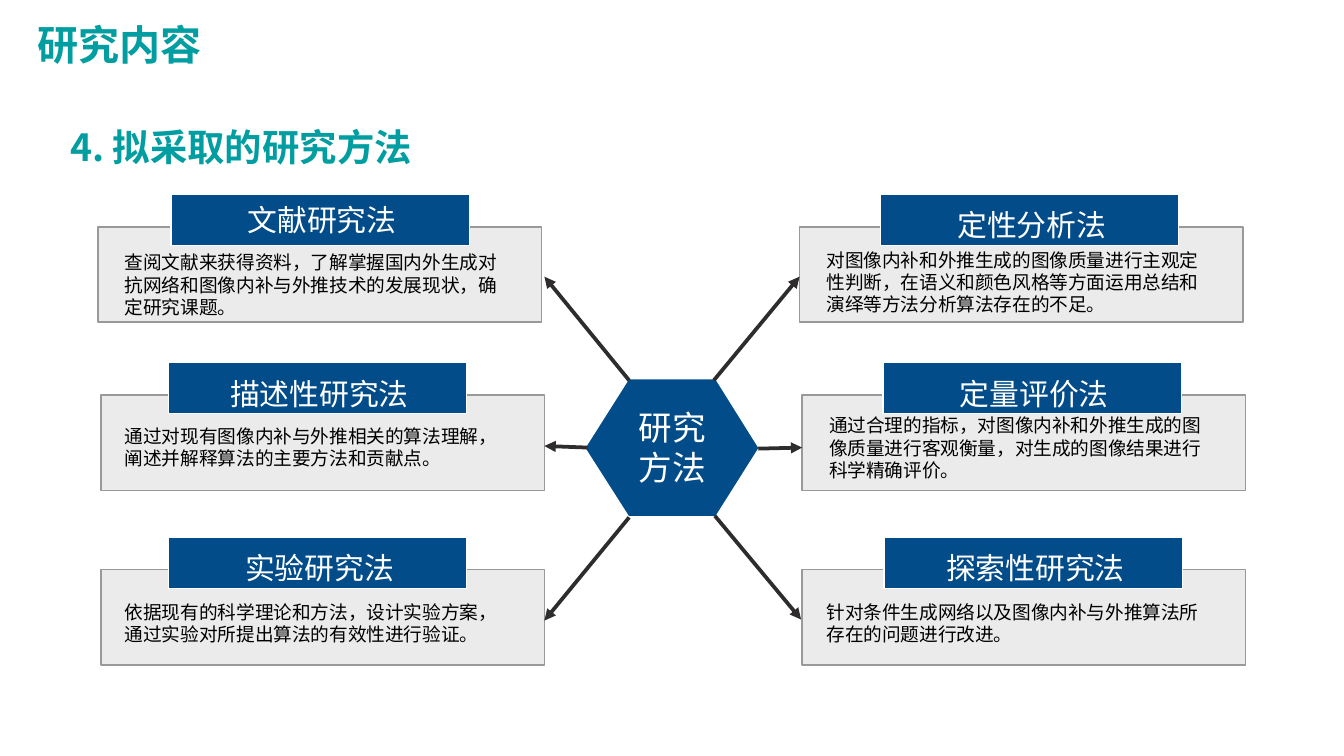
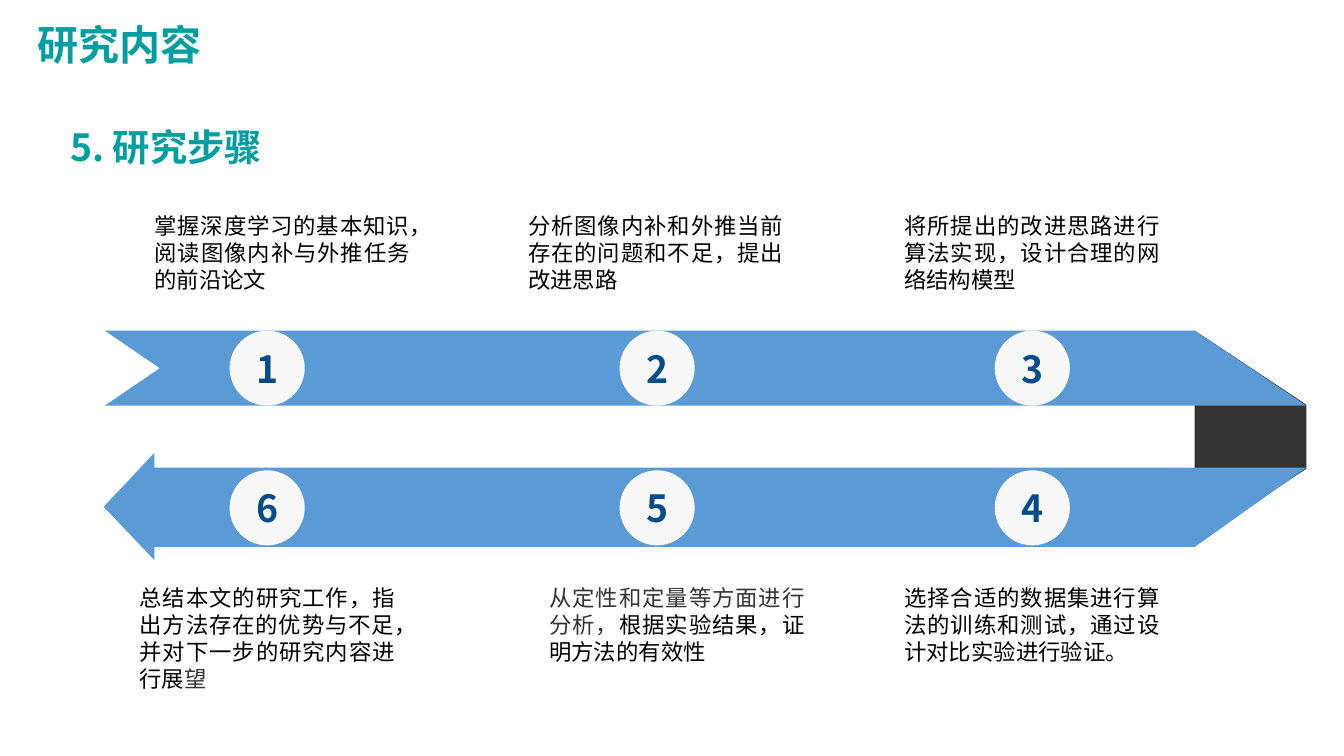
from dataclasses import dataclass

import pptx
import pptx.dml.color
import pptx.enum.shapes
import pptx.enum.text
import pptx.oxml.ns
import pptx.oxml.xmlchemy
import pptx.util
from lxml import etree

Cm = pptx.util.Cm
Pt = pptx.util.Pt
qn = pptx.oxml.ns.qn
RGB = pptx.dml.color.RGBColor.from_string
SHAPE = pptx.enum.shapes.MSO_SHAPE
ALIGN = pptx.enum.text.PP_ALIGN
ANCHOR = pptx.enum.text.MSO_ANCHOR
AUTO = pptx.enum.text.MSO_AUTO_SIZE


@dataclass(frozen=True)
class Theme:
    teal: str = "009EA1"
    navy: str = "024C89"
    blue: str = "5B9BD5"
    white: str = "FFFFFF"
    black: str = "000000"
    dark: str = "333333"
    arrow: str = "2E2C2C"
    panel: str = "EBEBEB"
    panel_line: str = "999999"
    disc: str = "F8F8F8"
    cjk: str = "Noto Sans CJK SC"
    latin: str = "Calibri"
    alt: str = "Arial"
    title_pt: int = 22
    heading_pt: int = 20
    hub_pt: int = 18
    label_pt: int = 16
    step_pt: int = 12
    method_pt: int = 10


T = Theme()


@dataclass(frozen=True)
class Method:
    """One research method; positions in cm."""
    name: str
    text: str
    panel_x: float
    header_x: float
    text_x: float
    top: float
    text_y: float
    text_h: float = 1.52
    label_drop: float = 0.12
    name_font: str = T.latin
    text_font: str = T.latin


@dataclass(frozen=True)
class Arrow:
    x1: float
    y1: float
    x2: float
    y2: float


@dataclass(frozen=True)
class Step:
    """One research step; runs pair each text with whether it is muted."""
    number: int
    disc_x: float
    text_x: float
    runs: tuple
    text_h: float = 1.78


@dataclass(frozen=True)
class StepRow:
    disc_y: float
    text_y: float
    steps: tuple


METHODS = (
    Method("文献研究法", "查阅文献来获得资料，了解掌握国内外生成对抗网络和图像内补与外推技术的发展现状，确定研究课题。",
           1.85, 3.23, 2.11, 4.29, 4.62, label_drop=0.02),
    Method("描述性研究法", "通过对现有图像内补与外推相关的算法理解，阐述并解释算法的主要方法和贡献点。",
           1.91, 3.18, 2.11, 7.47, 7.9, text_h=1.12),
    Method("实验研究法", "依据现有的科学理论和方法，设计实验方案，通过实验对所提出算法的有效性进行验证。",
           1.91, 3.18, 2.11, 10.77, 11.23, text_h=1.12, name_font=T.alt, text_font=T.alt),
    Method("定性分析法", "对图像内补和外推生成的图像质量进行主观定性判断，在语义和颜色风格等方面运用总结和演绎等方法分析算法存在的不足。",
           15.11, 16.64, 15.37, 4.29, 4.57, name_font=T.alt),
    Method("定量评价法", "通过合理的指标，对图像内补和外推生成的图像质量进行客观衡量，对生成的图像结果进行科学精确评价。",
           15.16, 16.69, 15.42, 7.47, 7.7, name_font=T.alt),
    Method("探索性研究法", "针对条件生成网络以及图像内补与外推算法所存在的问题进行改进。",
           15.16, 16.71, 15.37, 10.77, 11.23, text_h=1.12),
)

ARROWS = (
    Arrow(13.49, 7.19, 15.11, 5.23),
    Arrow(14.33, 8.48, 15.16, 8.46),
    Arrow(13.51, 9.75, 15.14, 11.71),
    Arrow(11.89, 7.19, 10.29, 5.23),
    Arrow(11.1, 8.46, 10.29, 8.43),
    Arrow(11.89, 9.78, 10.29, 11.73),
)

HUB = ((13.53, 7.16), (14.35, 8.47), (13.53, 9.77), (11.88, 9.77), (11.05, 8.47), (11.88, 7.16))

FOLD = ((24.69, 7.65), (24.69, 8.86), (22.58, 10.26), (22.58, 6.25))
RETURN_BAND = ((2.92, 8.84), (24.69, 8.84), (22.58, 10.34), (2.92, 10.34),
               (2.92, 10.59), (1.96, 9.58), (2.92, 8.56))
FORWARD_BAND = ((1.98, 6.25), (22.58, 6.25), (24.69, 7.67), (1.98, 7.67), (3.02, 6.96))

STEP_ROWS = (
    StepRow(6.25, 3.89, (
        Step(1, 4.34, 2.67, (("掌握深度学习的基本知识，阅读图像内补与外推任务的前沿论文", False),)),
        Step(2, 11.71, 9.73, (("分析图像内补和外推当前存在的问题和不足，提出改进思路", False),)),
        Step(3, 18.8, 16.84, (("将所提出的改进思路进行算法实现，设计合理的网络结构模型", False),)),
    )),
    StepRow(8.89, 10.92, (
        Step(4, 18.8, 16.84, (("选择合适的数据集进行算法的训练和测试，通过设计对比实验进行验证。", False),)),
        Step(5, 11.71, 10.13, (("从定性和定量等方面进行分析，", True),
                               ("根据实验结果，证明方法的有效性", False))),
        Step(6, 4.34, 2.39, (("总结本文的研究工作，指出方法存在的优势与不足，并对下一步的研究内容进行展", False),
                             ("望", True)), text_h=2.29),
    )),
)


def write(sp, text: str, *, size: int, color: str, font: str = T.cjk,
          bold: bool = False, align=ALIGN.LEFT):
    """Append a formatted run to the first paragraph and return the paragraph."""
    p = sp.text_frame.paragraphs[0]
    p.alignment = align
    r = p.add_run()
    r.text = text
    r.font.size = Pt(size)
    r.font.bold = bold
    r.font.color.rgb = RGB(color)
    r.font.name = font
    etree.SubElement(r.font._element, qn("a:ea"), typeface=T.cjk)
    return p


def place(sp, x: float, y: float, w: float, h: float) -> None:
    sp.left, sp.top, sp.width, sp.height = Cm(x), Cm(y), Cm(w), Cm(h)


def fit_text(sp, wrap: bool = True) -> None:
    tf = sp.text_frame
    tf.word_wrap = wrap
    tf.auto_size = AUTO.SHAPE_TO_FIT_TEXT
    tf.vertical_anchor = ANCHOR.TOP


def add_text(slide, x: float, y: float, w: float, h: float):
    sp = slide.shapes.add_textbox(Cm(x), Cm(y), Cm(w), Cm(h))
    fit_text(sp)
    return sp


def paint(sp, fill: str, line: str | None = None) -> None:
    sp.shadow.inherit = False
    sp.fill.solid()
    sp.fill.fore_color.rgb = RGB(fill)
    if line is None:
        sp.line.fill.background()
    else:
        sp.line.color.rgb = RGB(line)
        sp.line.width = Pt(0)


def add_shape(slide, kind, x: float, y: float, w: float, h: float,
              fill: str, line: str | None = None):
    sp = slide.shapes.add_shape(kind, Cm(x), Cm(y), Cm(w), Cm(h))
    paint(sp, fill, line)
    return sp


def add_outline(slide, points: tuple, fill: str, line: str | None = None) -> None:
    start, *rest = [(Cm(x), Cm(y)) for x, y in points]
    builder = slide.shapes.build_freeform(*start, scale=1.0)
    builder.add_line_segments(rest, close=True)
    paint(builder.convert_to_shape(), fill, line)


def add_arrow(slide, arrow: Arrow) -> None:
    c = slide.shapes.add_connector(pptx.enum.shapes.MSO_CONNECTOR.STRAIGHT,
                                   Cm(arrow.x1), Cm(arrow.y1), Cm(arrow.x2), Cm(arrow.y2))
    c.line.color.rgb = RGB(T.arrow)
    c.line.width = Pt(0)
    sp_pr = c._element.spPr
    etree.SubElement(sp_pr.find(qn("a:ln")), qn("a:tailEnd"), type="triangle")
    etree.SubElement(sp_pr, qn("a:effectLst"))


def add_slide(prs, heading: str):
    """Add a slide with the shared title and its section heading."""
    slide = prs.slides.add_slide(prs.slide_layouts[1])
    title, body = slide.shapes.title, slide.placeholders[1]
    place(title, 0.46, 0.25, 3.61, 1.19)
    fit_text(title, wrap=False)
    write(title, "研究内容", size=T.title_pt, color=T.teal, bold=True)

    place(body, 1.07, 1.79, 23.5, 1.52)
    fit_text(body)
    p_pr = body.text_frame.paragraphs[0]._p.get_or_add_pPr()
    p_pr.set("marL", "0")
    p_pr.set("indent", "0")
    etree.SubElement(p_pr, qn("a:buNone"))
    p = write(body, heading, size=T.heading_pt, color=T.teal, bold=True, align=ALIGN.JUSTIFY)
    p.line_spacing = 1.5
    p.space_before = Pt(0)
    p.space_after = Pt(12)
    return slide


def add_method(slide, m: Method) -> None:
    header_y = m.top - 0.62
    add_shape(slide, SHAPE.RECTANGLE, m.panel_x, m.top, 8.38, 1.8, T.panel, T.panel_line)
    add_shape(slide, SHAPE.RECTANGLE, m.header_x, header_y, 5.64, 0.97, T.navy, T.white)
    label = add_text(slide, m.header_x + 0.41, header_y + m.label_drop, 4.9, 0.94)
    write(label, m.name, size=T.label_pt, color=T.white, font=m.name_font, align=ALIGN.CENTER)
    text = add_text(slide, m.text_x, m.text_y, 7.87, m.text_h)
    write(text, m.text, size=T.method_pt, color=T.black, font=m.text_font)


def add_step(slide, row: StepRow, step: Step) -> None:
    disc = add_shape(slide, SHAPE.OVAL, step.disc_x, row.disc_y, 1.42, 1.42, T.disc)
    disc.text_frame.vertical_anchor = ANCHOR.MIDDLE
    write(disc, str(step.number), size=T.heading_pt, color=T.navy, bold=True, align=ALIGN.CENTER)
    box = add_text(slide, step.text_x, row.text_y, 5.33, step.text_h)
    for text, muted in step.runs:
        write(box, text, size=T.step_pt, color=T.dark if muted else T.black,
              font=T.cjk if muted else T.latin, align=ALIGN.JUSTIFY)


def build_methods(prs) -> None:
    slide = add_slide(prs, "4. 拟采取的研究方法")
    add_outline(slide, HUB, T.navy, T.white)
    hub = add_text(slide, 11.68, 7.57, 2.06, 1.78)
    write(hub, "研究方法", size=T.hub_pt, color=T.white, align=ALIGN.CENTER)
    for method in METHODS:
        add_method(slide, method)
    for arrow in ARROWS:
        add_arrow(slide, arrow)


def build_steps(prs) -> None:
    slide = add_slide(prs, "5. 研究步骤")
    add_outline(slide, FOLD, T.dark)
    add_outline(slide, RETURN_BAND, T.blue)
    add_outline(slide, FORWARD_BAND, T.blue)
    for row in STEP_ROWS:
        for step in row.steps:
            add_step(slide, row, step)


def main() -> None:
    prs = pptx.Presentation()
    prs.slide_width, prs.slide_height = Cm(25.4), Cm(14.29)
    build_methods(prs)
    build_steps(prs)
    prs.save("out.pptx")


if __name__ == "__main__":
    main()
